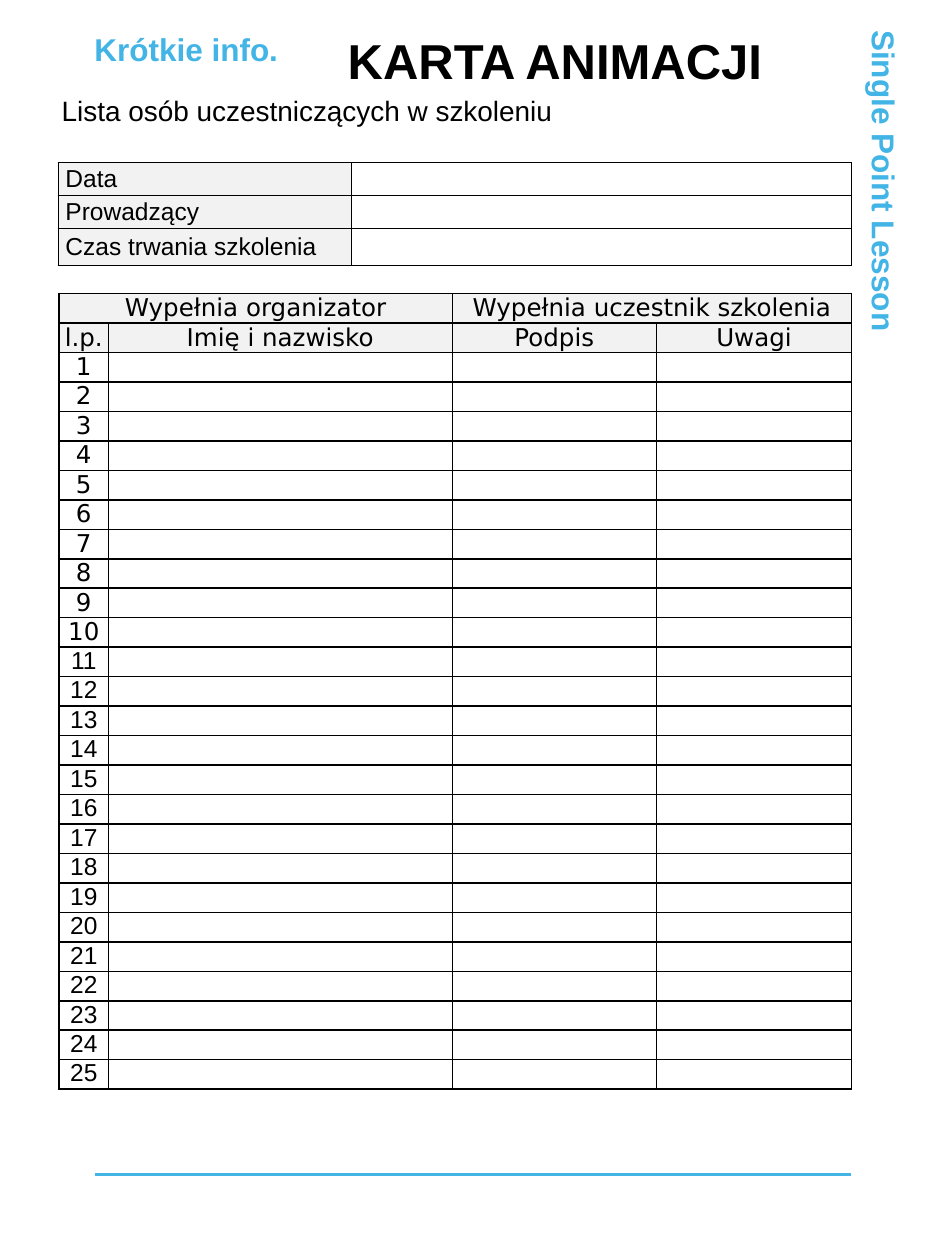
from dataclasses import dataclass
from typing import Optional

from lxml import etree
from pptx import Presentation
from pptx.dml.color import RGBColor
from pptx.enum.shapes import MSO_CONNECTOR, MSO_SHAPE
from pptx.enum.text import MSO_ANCHOR, PP_ALIGN
from pptx.oxml.ns import qn
from pptx.util import Inches, Pt

BLUE = RGBColor(0x42, 0xB4, 0xE6)
BLACK = RGBColor(0, 0, 0)
WHITE = RGBColor(0xFF, 0xFF, 0xFF)
GREY = RGBColor(0xF2, 0xF2, 0xF2)
LEFT, CENTER = PP_ALIGN.LEFT, PP_ALIGN.CENTER
TOP, MIDDLE = MSO_ANCHOR.TOP, MSO_ANCHOR.MIDDLE
RECT = MSO_SHAPE.RECTANGLE
STRAIGHT = MSO_CONNECTOR.STRAIGHT
SANS, WIDE = "Arial", "DejaVu Sans"


@dataclass
class Label:
    text: str
    left: float
    top: float
    width: float
    height: float
    size: int
    color: RGBColor = BLACK
    bold: bool = False
    turn: int = 0
    fill: Optional[RGBColor] = None


@dataclass
class Grid:
    left: float
    top: float
    cols: list[float]
    rows: list[float]
    line: float
    pad: float


LABELS = [
    Label("Krótkie info.", 0.75, 0.24, 2, 0.3, 18, BLUE, True),
    Label("Single Point Lesson", 4.11, 3, 5.82, 0.3, 18, BLUE, True, 90, WHITE),
    Label("KARTA ANIMACJI", 2.76, 0.24, 3.99, 0.45, 28, BLACK, True),
    Label("Lista osób uczestniczących w szkoleniu", 0.49, 0.74, 6.1, 0.37, 16),
]
FACTS = ["Data", "Prowadzący", "Czas trwania szkolenia"]
HEADS = ["l.p.", "Imię i nazwisko", "Podpis", "Uwagi"]
GROUPS = {0: "Wypełnia organizator", 2: "Wypełnia uczestnik szkolenia"}
SEATS = 25
SPLIT = 10  # the numbers after this one are set in Arial
ROWS = SEATS + 2


def write(frame, text: str, *, size: int = 14, font: str = SANS,
          color: RGBColor = BLACK, bold: bool = False,
          align: PP_ALIGN = LEFT) -> None:
    par = frame.paragraphs[0]
    par.alignment = align
    run = par.add_run()
    run.text = text
    run.font.size = Pt(size)
    run.font.name = font
    run.font.bold = bold
    run.font.color.rgb = color


def add_label(slide, item: Label) -> None:
    box = [Inches(v) for v in (item.left, item.top, item.width, item.height)]
    if item.fill is None:
        shape = slide.shapes.add_textbox(*box)
    else:
        shape = slide.shapes.add_shape(RECT, *box)
        shape.shadow.inherit = False
        shape.fill.solid()
        shape.fill.fore_color.rgb = item.fill
        shape.line.fill.background()
    shape.rotation = item.turn
    frame = shape.text_frame
    frame.word_wrap = True
    frame.vertical_anchor = TOP
    frame.margin_left = frame.margin_right = 0
    frame.margin_top = frame.margin_bottom = 0
    write(frame, item.text, size=item.size, color=item.color, bold=item.bold)


def add_edges(cell, width: float) -> None:
    props = cell._tc.get_or_add_tcPr()
    for spot, side in enumerate(("lnL", "lnR", "lnT", "lnB")):
        edge = etree.Element(qn(f"a:{side}"), w=str(Pt(width)))
        fill = etree.SubElement(edge, qn("a:solidFill"))
        etree.SubElement(fill, qn("a:srgbClr"), val=str(BLACK))
        props.insert(spot, edge)


def add_grid(slide, grid: Grid):
    table = slide.shapes.add_table(
        len(grid.rows), len(grid.cols), Inches(grid.left), Inches(grid.top),
        Inches(sum(grid.cols)), Inches(sum(grid.rows))).table
    table.first_row = table.horz_banding = False
    for col, width in zip(table.columns, grid.cols):
        col.width = Inches(width)
    for row, height in zip(table.rows, grid.rows):
        row.height = Inches(height)
    for cell in table.iter_cells():
        cell.margin_left = cell.margin_right = Inches(grid.pad)
        cell.margin_top = cell.margin_bottom = 0
        cell.fill.background()
        add_edges(cell, grid.line)
        # Small type keeps empty cells from stretching their row
        par = cell.text_frame.paragraphs[0]
        etree.SubElement(par._p, qn("a:endParaRPr"), sz="1000")
    return table


def add_head(cell, text: str, **style) -> None:
    cell.fill.solid()
    cell.fill.fore_color.rgb = GREY
    cell.vertical_anchor = MIDDLE
    write(cell.text_frame, text, **style)


def add_rule(slide) -> None:
    rule = slide.shapes.add_connector(
        STRAIGHT, Inches(0.75), Inches(9.32), Inches(6.75), Inches(9.32))
    rule.line.color.rgb = BLUE
    rule.line.width = Pt(1.5)
    etree.SubElement(rule._element.spPr, qn("a:effectLst"))


def main() -> None:
    deck = Presentation()
    deck.slide_width, deck.slide_height = Inches(7.5), Inches(10)
    slide = deck.slides.add_slide(deck.slide_layouts[6])

    # Headings and footer rule
    for item in LABELS:
        add_label(slide, item)
    add_rule(slide)

    # Training facts
    facts = add_grid(slide, Grid(0.46, 1.29, [2.33, 3.97],
                                 [0.26, 0.26, 0.3], 0.5, 0.06))
    for row, text in enumerate(FACTS):
        add_head(facts.cell(row, 0), text)

    # Attendance list
    people = add_grid(slide, Grid(0.47, 2.33, [0.39, 2.73, 1.62, 1.55],
                                  [6.32 / ROWS] * ROWS, 1, 0.04))
    for col, text in GROUPS.items():
        people.cell(0, col).merge(people.cell(0, col + 1))
        add_head(people.cell(0, col), text, font=WIDE, align=CENTER)
    for col, text in enumerate(HEADS):
        add_head(people.cell(1, col), text, font=WIDE, align=CENTER)
    for seat in range(1, SEATS + 1):
        write(people.cell(seat + 1, 0).text_frame, str(seat), align=CENTER,
              font=WIDE if seat <= SPLIT else SANS)

    deck.save("out.pptx")


if __name__ == "__main__":
    main()
